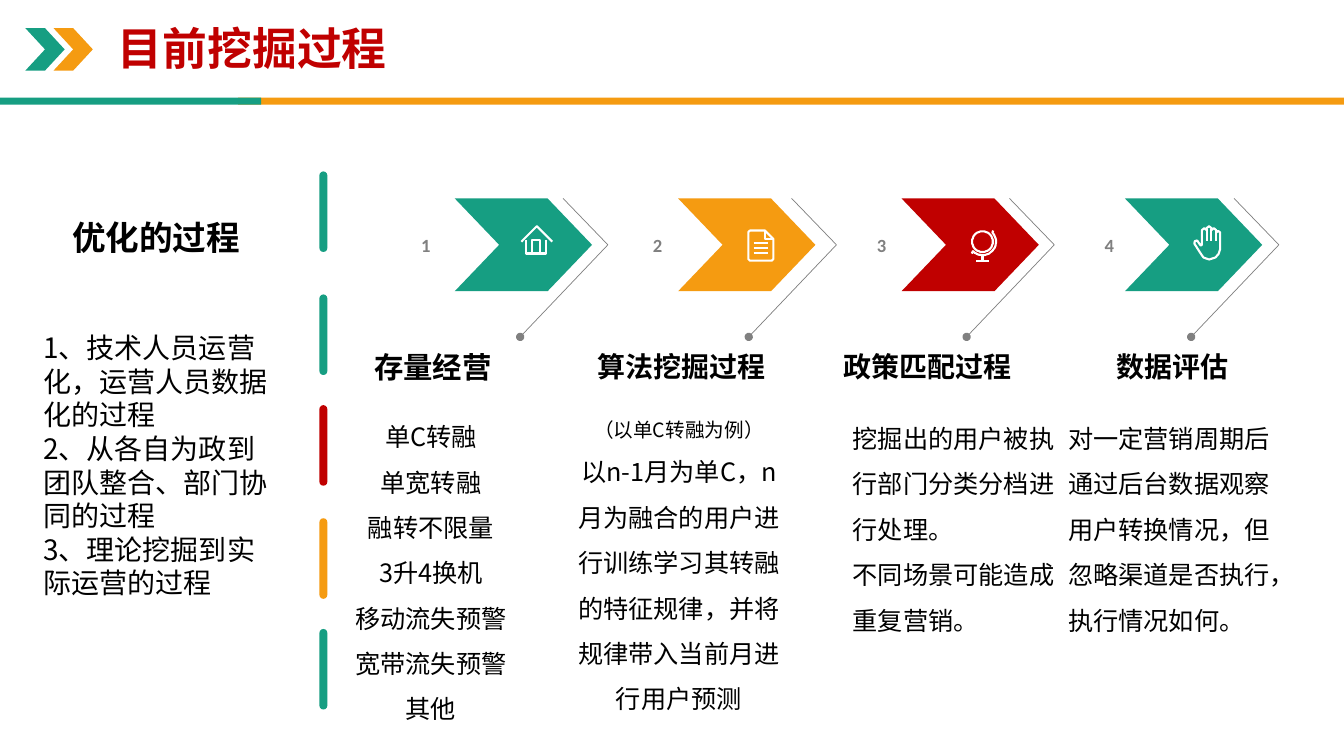
import math

import lxml.etree
import pptx
import pptx.dml.color
import pptx.enum.shapes
import pptx.enum.text
import pptx.oxml.ns
import pptx.util

Cm = pptx.util.Cm
Pt = pptx.util.Pt
SHAPE = pptx.enum.shapes.MSO_SHAPE
ALIGN = pptx.enum.text.PP_ALIGN
GREEN, ORANGE, RED = "169E82", "F59B11", "C00000"
BLACK, GRAY, WHITE = "000000", "808080", "FFFFFF"
CHINESE = "Noto Sans CJK SC"
UNIT = 100


def color(value):
    return pptx.dml.color.RGBColor.from_string(value)


def arc(x, y, radius, start, end, steps=36):
    angles = [math.radians(start + (end - start) * i / steps) for i in range(steps + 1)]
    return [(x + radius * math.cos(a), y + radius * math.sin(a)) for a in angles]


HOUSE = [
    [(3, 43), (42, 4), (81, 43)],
    [(14, 40), (14, 73), (66, 73), (66, 40)],
    [(29, 73), (29, 39), (51, 39), (51, 73)],
]
DOCUMENT = [
    [(46, 4), (8, 4), (4, 8), (4, 76), (8, 80), (63, 80), (67, 76), (67, 25), (46, 4)],
    [(46, 4), (46, 25), (67, 25)],
] + [[(17, y), (54, y)] for y in (35, 48, 61)]
GLOBE = [
    arc(30, 30, 26, 0, 360),
    [(57, 2)] + arc(30, 30, 34, -43, 135) + [(3, 60)],
    [(30, 66), (30, 78)],
    [(14, 78), (47, 78)],
]
HAND = [
    [(3, 48), (4, 42), (10, 40), (19, 53), (22, 51), (22, 14), (28, 9), (34, 14),
     (34, 9), (40, 4), (46, 9), (46, 14), (52, 9), (58, 14), (58, 20), (63, 16),
     (68, 20), (68, 62), (64, 74), (56, 83), (40, 88), (26, 83), (19, 73), (3, 48)],
] + [[(x, 12), (x, 41)] for x in (34, 46, 58)]

STAGES = [
    dict(fill=GREEN, icon=HOUSE, icon_at=(13.11, 5.66), number=10.01, arrow=13.11,
         title="存量经营", title_at=8.28, title_size=21, body_at=(8.23, 10.24, 5.26),
         align=ALIGN.CENTER,
         body=[(line, 18) for line in ("单C转融", "单宽转融", "融转不限量", "3升4换机",
                                       "移动流失预警", "宽带流失预警", "其他")]),
    dict(fill=ORANGE, icon=DOCUMENT, icon_at=(18.82, 5.77), number=15.85, arrow=18.87,
         title="算法挖掘过程", title_at=14.55, title_size=20, body_at=(14.48, 10.24, 5.26),
         align=ALIGN.CENTER,
         body=[("（以单C转融为例）", 14),
               ("以n-1月为单C，n月为融合的用户进行训练学习其转融的特征规律，"
                "并将规律带入当前月进行用户预测", 18)]),
    dict(fill=RED, icon=GLOBE, icon_at=(24.46, 5.79), number=21.49, arrow=24.36,
         title="政策匹配过程", title_at=20.75, title_size=20, body_at=(21.49, 10.29, 5.08),
         align=ALIGN.LEFT,
         body=[("挖掘出的用户被执行部门分类分档进行处理。", 18),
               ("不同场景可能造成重复营销。", 18)]),
    dict(fill=GREEN, icon=HAND, icon_at=(30.07, 5.66), number=27.23, arrow=30.02,
         title="数据评估", title_at=26.92, title_size=20, body_at=(26.92, 10.29, 5.26),
         align=ALIGN.LEFT,
         body=[("对一定营销周期后通过后台数据观察用户转换情况，但忽略渠道是否执行，执行情况如何。", 18)]),
]


def add_block(page, kind, left, top, width, height, fill):
    shape = page.shapes.add_shape(kind, Cm(left), Cm(top), Cm(width), Cm(height))
    shape.shadow.inherit = False
    shape.fill.solid()
    shape.fill.fore_color.rgb = color(fill)
    shape.line.fill.background()
    return shape


def add_outline(page, left, top, contours, fill=None, line=None, weight=0.5):
    builder = None
    for points in contours:
        if builder is None:
            builder = page.shapes.build_freeform(*points[0], scale=Cm(1) / UNIT)
        else:
            builder.move_to(*points[0])
        builder.add_line_segments(points[1:], close=fill is not None)
    shape = builder.convert_to_shape(Cm(left), Cm(top))
    shape.shadow.inherit = False
    if fill:
        shape.fill.solid()
        shape.fill.fore_color.rgb = color(fill)
    else:
        shape.fill.background()
    if line:
        shape.line.color.rgb = color(line)
        shape.line.width = Pt(weight)
    else:
        shape.line.fill.background()
    return shape


def write(box, paragraphs, tint=BLACK, bold=False, align=ALIGN.LEFT, spacing=1.0,
          font=CHINESE, wrap=True, insets=(0, 0)):
    frame = box.text_frame
    frame.word_wrap = wrap
    frame.auto_size = pptx.enum.text.MSO_AUTO_SIZE.SHAPE_TO_FIT_TEXT
    frame.vertical_anchor = pptx.enum.text.MSO_ANCHOR.TOP
    frame.margin_left = frame.margin_right = Cm(insets[0])
    frame.margin_top = frame.margin_bottom = Cm(insets[1])
    for index, (text, size) in enumerate(paragraphs):
        para = frame.add_paragraph() if index else frame.paragraphs[0]
        para.alignment = align
        para.line_spacing = spacing
        span = para.add_run()
        span.text = text
        span.font.size = Pt(size)
        span.font.bold = bold
        span.font.name = font
        span.font.color.rgb = color(tint)
        east = lxml.etree.SubElement(span.font._element, pptx.oxml.ns.qn("a:ea"))
        east.set("typeface", font)


def add_text(page, left, top, width, height, paragraphs, **style):
    box = page.shapes.add_textbox(Cm(left), Cm(top), Cm(width), Cm(height))
    write(box, paragraphs, **style)


def add_header(page, left, top, width):
    for offset, fill in ((0.64, GREEN), (1.35, ORANGE)):
        add_block(page, SHAPE.CHEVRON, left + offset, top + 0.71, 0.99, 1.07, fill)
    add_block(page, SHAPE.RECTANGLE, left + 6, top + 2.46, width - 6, 0.18, ORANGE)
    add_block(page, SHAPE.RECTANGLE, left, top + 2.46, 6.58, 0.18, GREEN)
    title = page.shapes.title
    title.left, title.top = Cm(left + 2.72), Cm(top + 0.38)
    title.width, title.height = Cm(7.34), Cm(1.63)
    write(title, [("目前挖掘过程", 32)], tint=RED, bold=True, wrap=False, insets=(0.25, 0.13))


def add_summary(page, left, top):
    add_text(page, left + 0.81, top, 4.78, 1.27, [("优化的过程", 24)],
             bold=True, wrap=False, insets=(0.25, 0.13))
    points = ("1、技术人员运营化，运营人员数据化的过程",
              "2、从各自为政到团队整合、部门协同的过程",
              "3、理论挖掘到实际运营的过程")
    add_text(page, left, top + 2.82, 6.55, 7.19, [(point, 20) for point in points],
             insets=(0.33, 0.18))


def add_divider(page, left, top):
    bars = ((0, GREEN), (3.1, GREEN), (5.89, RED), (8.74, ORANGE), (11.53, GREEN))
    for offset, fill in bars:
        bar = add_block(page, SHAPE.ROUND_2_SAME_RECTANGLE, left, top + offset, 0.2, 2.03, fill)
        bar.adjustments[0] = bar.adjustments[1] = 0.5


def add_stage(page, left, top, number, stage):
    chevron = [(0, 0), (234, 0), (346, 117), (234, 234), (0, 234), (112, 117)]
    add_outline(page, left, top, [chevron], fill=stage["fill"])
    arrow = add_outline(page, stage["arrow"], top, [[(108, 0), (221, 117), (0, 349)]], line=GRAY)
    tail = lxml.etree.SubElement(arrow.line._get_or_add_ln(), pptx.oxml.ns.qn("a:tailEnd"))
    tail.set("type", "oval")
    add_outline(page, *stage["icon_at"], stage["icon"], line=WHITE, weight=1.5)
    add_text(page, stage["number"], top + 0.89, 1.45, 0.56, [(str(number), 13.3)],
             tint=GRAY, bold=True, align=ALIGN.CENTER, font="Calibri")
    add_text(page, stage["title_at"], top + 3.81, 5.26, 0.87,
             [(stage["title"], stage["title_size"])], bold=True, align=ALIGN.CENTER)
    body_left, body_top, body_width = stage["body_at"]
    add_text(page, body_left, body_top, body_width, 5.64, stage["body"],
             align=stage["align"], spacing=1.5)


def main():
    deck = pptx.Presentation()
    deck.slide_width, deck.slide_height = Cm(33.87), Cm(19.05)
    page = deck.slides.add_slide(deck.slide_layouts[5])
    add_header(page, 0, 0, 33.87)
    add_summary(page, 0.76, 5.33)
    add_divider(page, 8.05, 4.32)
    for index, stage in enumerate(STAGES):
        add_stage(page, 11.46 + 5.63 * index, 5, index + 1, stage)
    deck.save("out.pptx")


if __name__ == "__main__":
    main()
